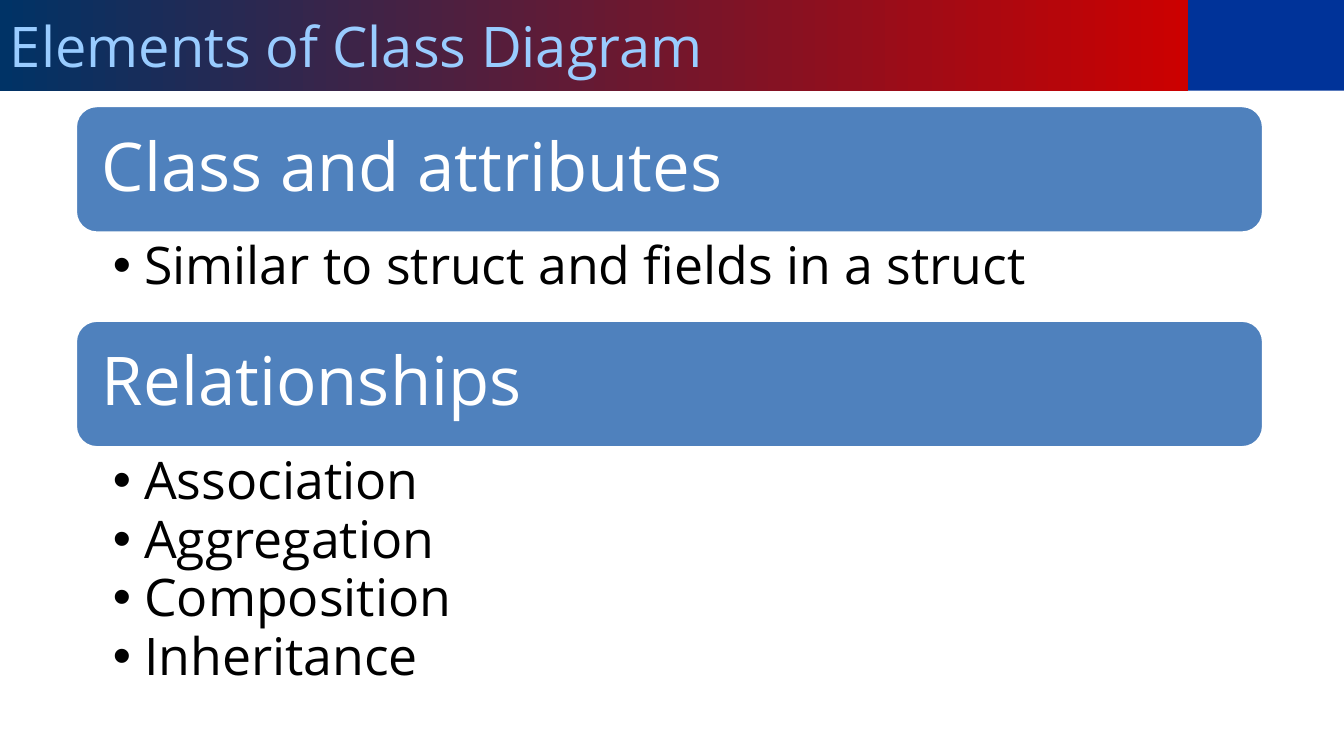
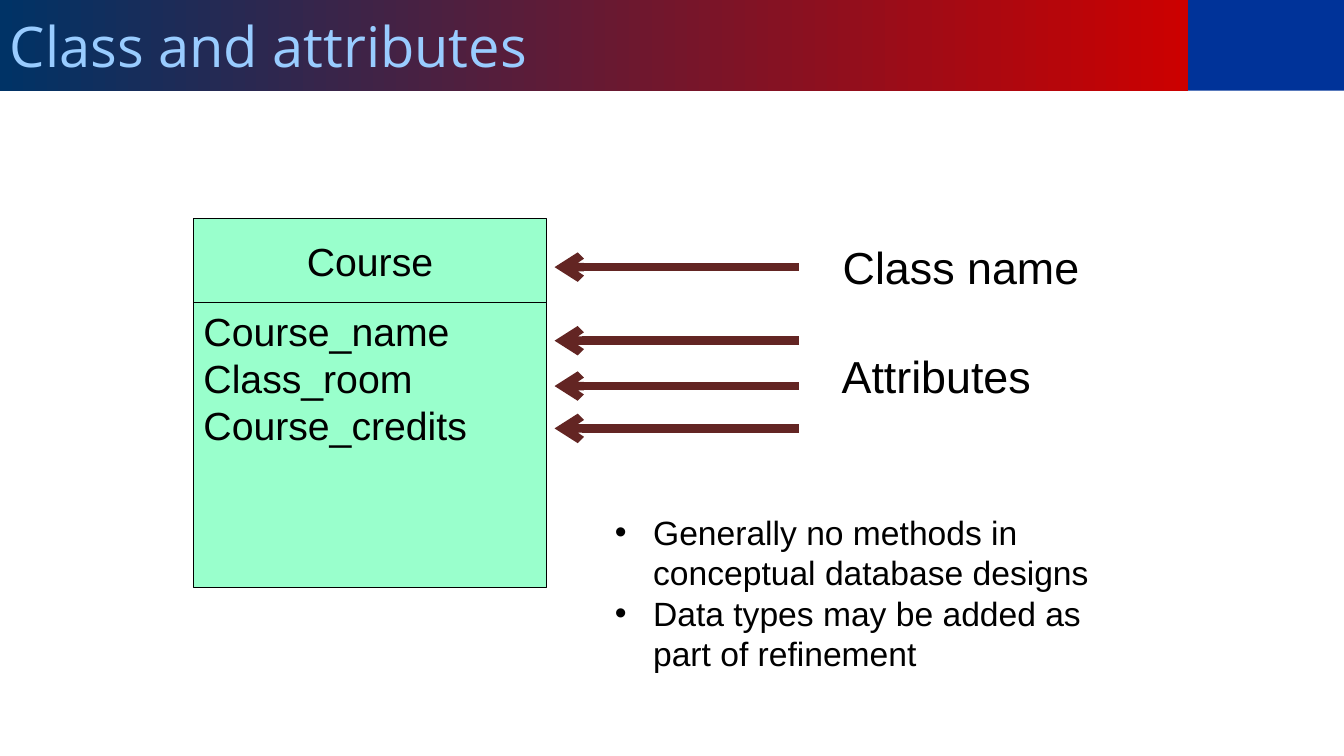
from lxml import etree
from pptx import Presentation
from pptx.dml.color import RGBColor
from pptx.enum.shapes import MSO_CONNECTOR, MSO_SHAPE
from pptx.enum.text import MSO_ANCHOR, PP_ALIGN
from pptx.oxml.ns import qn
from pptx.util import Inches, Pt

RECT, ROUND = MSO_SHAPE.RECTANGLE, MSO_SHAPE.ROUNDED_RECTANGLE
STRAIGHT = MSO_CONNECTOR.STRAIGHT
TOP, MIDDLE = MSO_ANCHOR.TOP, MSO_ANCHOR.MIDDLE
LEFT, CENTER = PP_ALIGN.LEFT, PP_ALIGN.CENTER

# Content
ELEMENTS_TITLE = "Elements of Class Diagram"
ELEMENTS = [
    ("Class and attributes", ["Similar to struct and fields in a struct"], 0.87),
    ("Relationships",
     ["Association", "Aggregation", "Composition", "Inheritance"], 2.77),
]
CLASS_TITLE = "Class and attributes"
CLASS_NAME = "Course"
ATTRIBUTES = ["Course_name", "Class_room", "Course_credits"]
LABELS = [("Class name", 8.26, 2.33, 2.57), ("Attributes", 8.25, 3.41, 2.1)]
ARROW_ROWS = [2.65, 3.38, 3.83, 4.25]
REMARKS = ["Generally no methods in conceptual database designs",
           "Data types may be added as part of refinement"]

# Shared style
SLIDE_W, SLIDE_H = 13.33, 7.5
BAND_W, BAND_H = 11.78, 0.9
SANS, BODY = "Open Sans", "Arial"
COLORS = {
    "corner": "003399", "band_start": "003366", "band_end": "CC0000",
    "title": "99CCFF", "header": "4F81BD", "white": "FFFFFF",
    "black": "000000", "class": "99FFCC", "arrow": "632523",
}


def rgb(name):
    return RGBColor.from_string(COLORS[name])


def add_box(slide, kind, x, y, w, h, fill=None, line=None, width=0.75):
    sp = slide.shapes.add_shape(kind, *map(Inches, (x, y, w, h)))
    sp.shadow.inherit = False
    if fill:
        sp.fill.solid()
        sp.fill.fore_color.rgb = rgb(fill)
    if line:
        sp.line.color.rgb = rgb(line)
        sp.line.width = Pt(width)
    else:
        sp.line.fill.background()
    return sp


def add_text_box(slide, x, y, w, h):
    return slide.shapes.add_textbox(*map(Inches, (x, y, w, h)))


def write(sp, lines, size, font=BODY, color="black", align=LEFT, anchor=TOP,
          wrap=True, insets=(0.1, 0.05), spacing=None, after=0, indent=0):
    tf = sp.text_frame
    tf.word_wrap = wrap
    tf.vertical_anchor = anchor
    tf.margin_left = tf.margin_right = Inches(insets[0])
    tf.margin_top = tf.margin_bottom = Inches(insets[1])
    tf.text = "\n".join(lines)
    for p in tf.paragraphs:
        p.alignment = align
        p.line_spacing = spacing
        p.space_after = Pt(after)
        for r in p.runs:
            r.font.size = Pt(size)
            r.font.name = font
            r.font.color.rgb = rgb(color)
        if indent:
            add_bullet(p, indent)


def add_bullet(p, indent):
    props = p._p.get_or_add_pPr()
    props.set("marL", str(Inches(indent)))
    props.set("indent", str(-Inches(indent)))
    etree.SubElement(props, qn("a:buFont")).set("typeface", BODY)
    etree.SubElement(props, qn("a:buChar")).set("char", "•")


def add_arrow(slide, x1, x2, y):
    line = slide.shapes.add_connector(
        STRAIGHT, Inches(x1), Inches(y), Inches(x2), Inches(y))
    line.line.color.rgb = rgb("arrow")
    line.line.width = Pt(6)
    etree.SubElement(line.line._get_or_add_ln(), qn("a:tailEnd")).set("type", "arrow")
    etree.SubElement(line._element.spPr, qn("a:effectLst"))


def add_slide(prs, title):
    slide = prs.slides.add_slide(prs.slide_layouts[6])
    add_box(slide, RECT, BAND_W, 0, SLIDE_W - BAND_W, BAND_H, "corner")
    band = add_box(slide, RECT, 0, 0, BAND_W, BAND_H)
    band.fill.gradient()
    band.fill.gradient_angle = 0
    stops = zip(band.fill.gradient_stops, ("band_start", "band_end"))
    for position, (stop, color) in enumerate(stops):
        stop.position = position
        stop.color.rgb = rgb(color)
    write(band, [title], 40, SANS, "title", anchor=MIDDLE)
    return slide


def build_elements(prs):
    slide = add_slide(prs, ELEMENTS_TITLE)
    x, y, w, header_h = 0.75, 1.05, 11.78, 1.26
    for heading, items, items_h in ELEMENTS:
        header = add_box(slide, ROUND, x, y, w, header_h, "header", "white", 2)
        write(header, [heading], 48, SANS, "white", anchor=MIDDLE,
              insets=(0.2, 0.2), spacing=0.9)
        y += header_h
        write(add_text_box(slide, x, y, w, items_h), items, 37, SANS,
              insets=(0.37, 0.07), spacing=0.9, after=2, indent=0.31)
        y += items_h


def build_class(prs):
    slide = add_slide(prs, CLASS_TITLE)

    # Class box: name above attributes
    x, y, w, name_h, attributes_h = 1.92, 2.17, 3.5, 0.83, 2.83
    name = add_box(slide, RECT, x, y, w, name_h, "class", "black")
    write(name, [CLASS_NAME], 28, align=CENTER, anchor=MIDDLE)
    attributes = add_box(slide, RECT, x, y + name_h, w, attributes_h,
                         "class", "black")
    write(attributes, ATTRIBUTES, 28)

    # Labels and arrows
    for text, left, top, width in LABELS:
        write(add_text_box(slide, left, top, width, 0.64), [text], 32, wrap=False)
    for row in ARROW_ROWS:
        add_arrow(slide, 7.92, 5.5, row)

    # Remarks
    write(add_text_box(slide, 6, 5.03, 5.06, 1.72), REMARKS, 24, indent=0.38)


def main():
    prs = Presentation()
    prs.slide_width, prs.slide_height = Inches(SLIDE_W), Inches(SLIDE_H)
    build_elements(prs)
    build_class(prs)
    prs.save("out.pptx")


if __name__ == "__main__":
    main()
